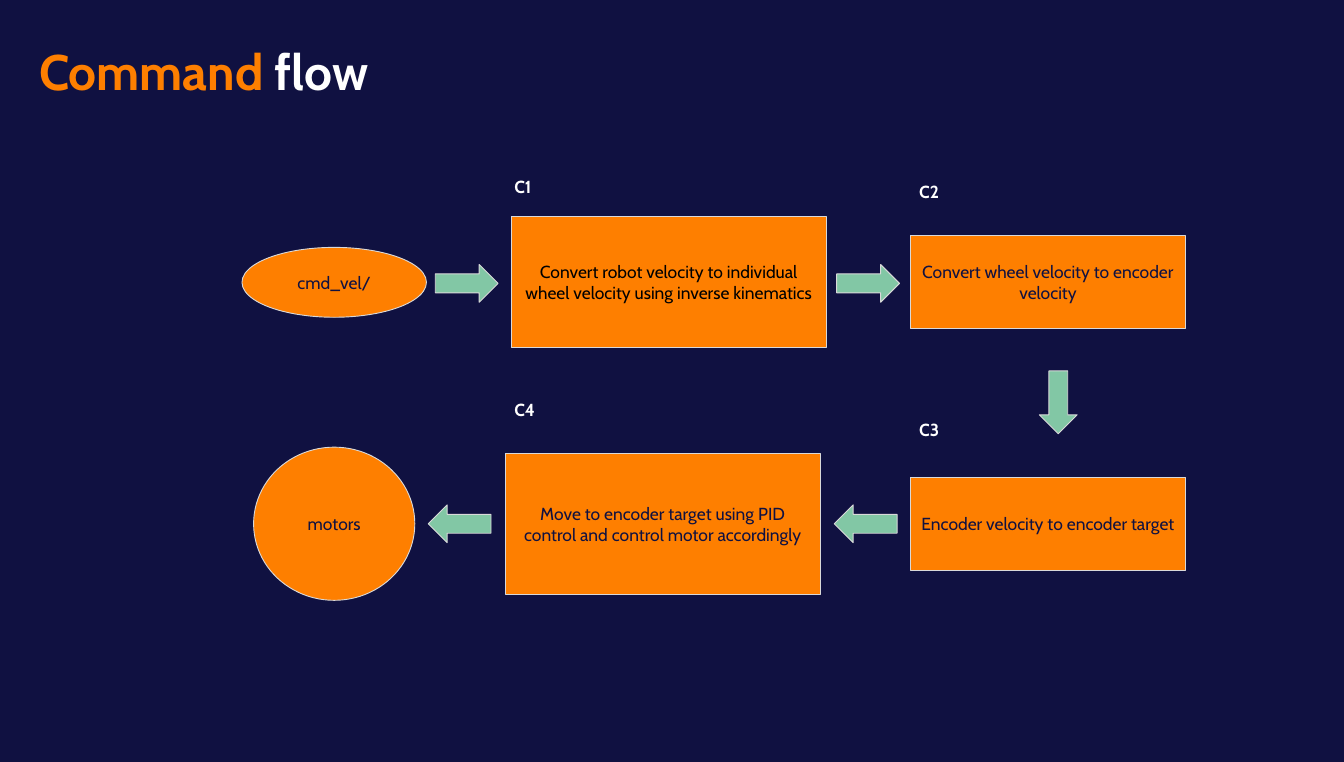
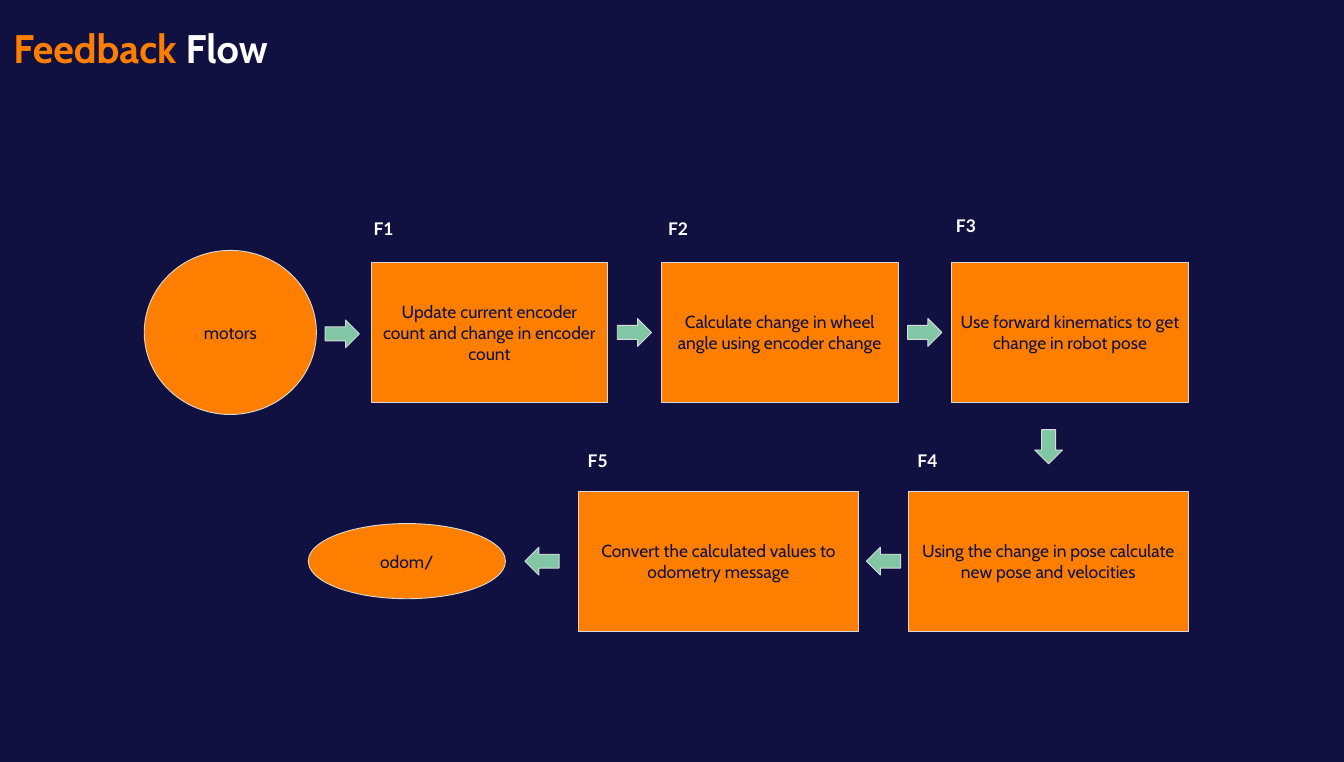
from dataclasses import dataclass

from pptx import Presentation
from pptx.dml.color import RGBColor
from pptx.enum import shapes, text
from pptx.util import Cm, Pt


@dataclass(frozen=True)
class Theme:
    navy: RGBColor = RGBColor(0x10, 0x11, 0x41)
    orange: RGBColor = RGBColor(0xFE, 0x7F, 0x00)
    green: RGBColor = RGBColor(0x82, 0xC7, 0xA5)
    outline: RGBColor = RGBColor(0xD9, 0xD9, 0xD9)
    white: RGBColor = RGBColor(0xFF, 0xFF, 0xFF)
    black: RGBColor = RGBColor(0x00, 0x00, 0x00)
    font: str = "Cabin"
    step_font: str = "Lato"
    body_size: Pt = Pt(14)
    outline_width: Pt = Pt(0.75)
    inset: Cm = Cm(0.25)


THEME = Theme()
BOX = shapes.MSO_SHAPE.RECTANGLE
OVAL = shapes.MSO_SHAPE.OVAL
RIGHT, DOWN, LEFT = 0, 90, 180


def set_frame(frame, anchor, inset_y=THEME.inset, wrap=True):
    frame.word_wrap = wrap
    frame.auto_size = text.MSO_AUTO_SIZE.NONE
    frame.vertical_anchor = anchor
    frame.margin_left = frame.margin_right = THEME.inset
    frame.margin_top = frame.margin_bottom = inset_y


def set_font(font, color, name=THEME.font, size=THEME.body_size, bold=False):
    font.name, font.size, font.bold = name, size, bold
    font.color.rgb = color


def add_flow_slide(prs, accent, rest, left, top, width, height, size,
                   inset_y=THEME.inset, wrap=True):
    slide = prs.slides.add_slide(prs.slide_layouts[5])
    title = slide.shapes.title
    title.left, title.top = Cm(left), Cm(top)
    title.width, title.height = Cm(width), Cm(height)
    set_frame(title.text_frame, text.MSO_ANCHOR.TOP, inset_y, wrap)
    heading = title.text_frame.paragraphs[0]
    heading.alignment = text.PP_ALIGN.LEFT
    set_font(heading.font, THEME.white, size=Pt(size), bold=True)
    for words, color in ((accent, THEME.orange), (rest, THEME.white)):
        run = heading.add_run()
        run.text = words
        run.font.color.rgb = color
    return slide


def add_filled(slide, kind, left, middle, width, height, fill):
    shape = slide.shapes.add_shape(
        kind, Cm(left), Cm(middle - height / 2), Cm(width), Cm(height))
    shape.shadow.inherit = False
    shape.fill.solid()
    shape.fill.fore_color.rgb = fill
    shape.line.color.rgb = THEME.outline
    shape.line.width = THEME.outline_width
    return shape


def add_stage(slide, kind, words, left, middle, width, height, color=THEME.navy):
    stage = add_filled(slide, kind, left, middle, width, height, THEME.orange)
    set_frame(stage.text_frame, text.MSO_ANCHOR.MIDDLE)
    paragraph = stage.text_frame.paragraphs[0]
    paragraph.text = words
    paragraph.alignment = text.PP_ALIGN.CENTER
    set_font(paragraph.font, color)


def add_arrows(slide, width, height, places):
    for left, middle, direction in places:
        arrow = add_filled(slide, shapes.MSO_SHAPE.RIGHT_ARROW,
                           left, middle, width, height, THEME.green)
        arrow.rotation = direction


def add_step_labels(slide, font_name, width, places):
    for step, left, top in places:
        label = slide.shapes.add_textbox(Cm(left), Cm(top), Cm(width), Cm(1.09))
        set_frame(label.text_frame, text.MSO_ANCHOR.TOP)
        paragraph = label.text_frame.paragraphs[0]
        paragraph.text = step
        set_font(paragraph.font, THEME.white, font_name, bold=True)


def build_command_flow(prs):
    slide = add_flow_slide(prs, "Command ", "flow", 0.86, 1.02, 14.78, 2.18, 40,
                           inset_y=Cm(0.13), wrap=False)
    upper, lower = 8, 14.84
    convert_left, encoder_left = 14.33, 25.81
    add_stage(slide, OVAL, "cmd_vel/", 6.86, upper, 5.23, 1.98)
    add_stage(slide, BOX, "Convert robot velocity to individual wheel velocity "
              "using inverse kinematics", 14.5, upper, 8.92, 3.71, THEME.black)
    add_stage(slide, BOX, "Convert wheel velocity to encoder velocity",
              encoder_left, upper, 7.8, 2.64)
    add_stage(slide, BOX, "Encoder velocity to encoder target",
              encoder_left, lower, 7.8, 2.64)
    add_stage(slide, BOX, "Move to encoder target using PID control and control "
              "motor accordingly", convert_left, lower, 8.92, 3.99)
    add_stage(slide, OVAL, "motors", 7.19, lower, 4.57, 4.34)
    add_arrows(slide, 1.78, 1.07, (
        (12.34, upper + 0.03, RIGHT), (23.72, upper + 0.03, RIGHT),
        (29.11, 11.4, DOWN), (23.65, lower, LEFT), (12.14, lower, LEFT)))
    add_step_labels(slide, THEME.font, 2.29, (
        ("C2", encoder_left, 4.88), ("C3", encoder_left, 11.63),
        ("C4", convert_left, 11.05), ("C1", convert_left, 4.75)))


def build_feedback_flow(prs):
    slide = add_flow_slide(prs, "Feedback", " Flow", 0.13, 0.41, 32.13, 4.17, 32)
    upper, lower = 9.42, 15.9
    message_left, pose_left = 16.41, 25.76
    add_stage(slide, OVAL, "motors", 4.09, upper, 4.88, 4.65)
    for column, words in enumerate((
            "Update current encoder count and change in encoder count",
            "Calculate change in wheel angle using encoder change",
            "Use forward kinematics to get change in robot pose")):
        add_stage(slide, BOX, words, 10.52 + 8.23 * column, upper, 6.71, 3.96)
    add_stage(slide, BOX, "Using the change in pose calculate new pose and velocities",
              pose_left, lower, 7.92, 3.96)
    add_stage(slide, BOX, "Convert the calculated values to odometry message",
              message_left, lower, 7.92, 3.96)
    add_stage(slide, OVAL, "odom/", 8.74, lower, 5.59, 2.13)
    add_arrows(slide, 0.97, 0.79, (
        (9.22, upper + 0.04, RIGHT), (17.5, upper, RIGHT), (25.73, upper, RIGHT),
        (29.24, 12.66, DOWN), (24.56, lower, LEFT), (14.88, lower, LEFT)))
    add_step_labels(slide, THEME.step_font, 2.5, (
        ("F1", 10.34, 5.94), ("F2", 18.69, 5.94), ("F3", 26.85, 5.84),
        ("F4", pose_left, 12.5), ("F5", message_left, 12.5)))


def main():
    prs = Presentation()
    prs.slide_width, prs.slide_height = Cm(38.1), Cm(21.59)
    backdrop = prs.slide_master.background.fill
    backdrop.solid()
    backdrop.fore_color.rgb = THEME.navy
    build_command_flow(prs)
    build_feedback_flow(prs)
    prs.save("out.pptx")


if __name__ == "__main__":
    main()
